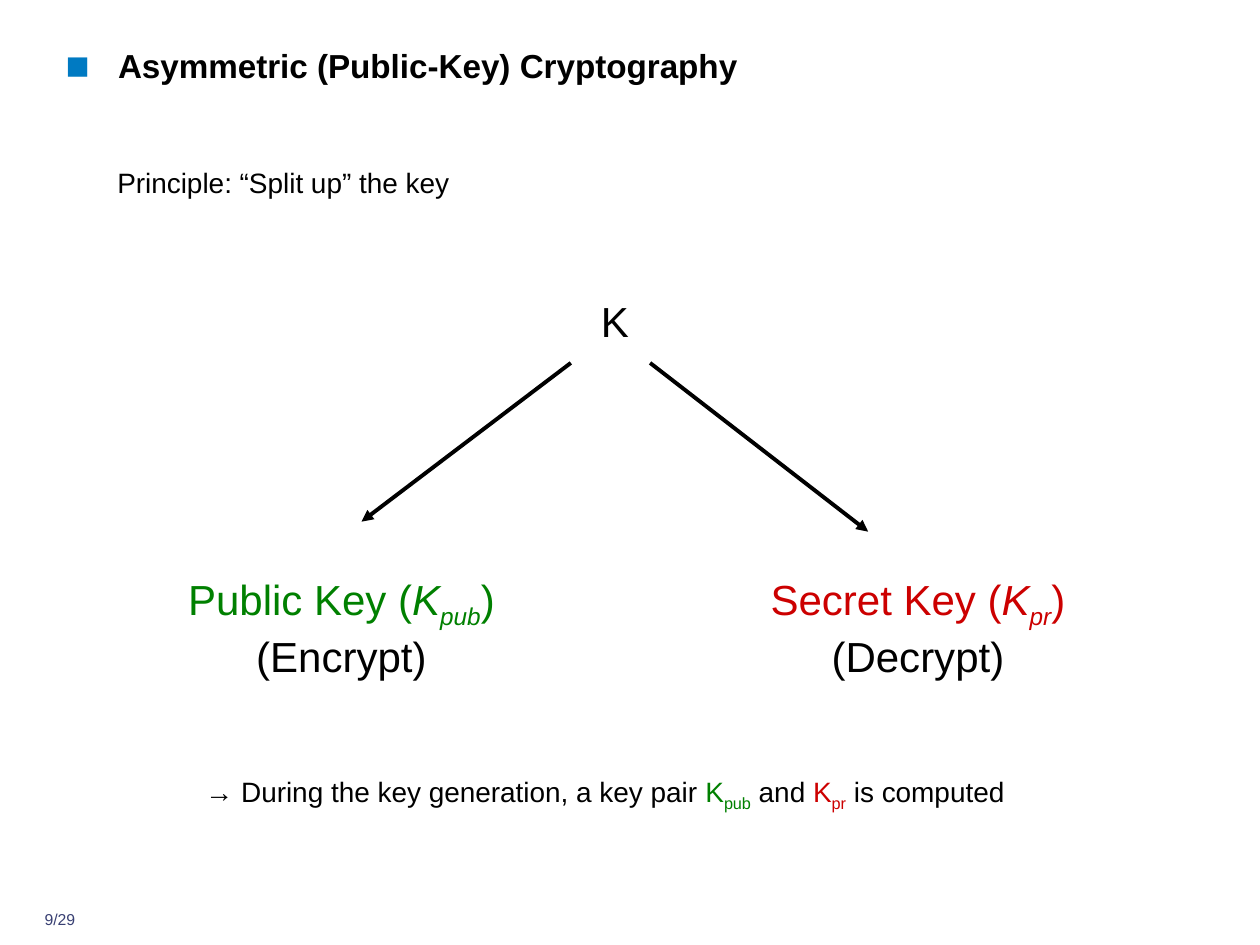
import pptx
import pptx.util
import pptx.dml.color
import pptx.enum.shapes
import pptx.enum.text
import pptx.oxml
import pptx.oxml.ns
from lxml import etree

Pt = pptx.util.Pt
RGB = pptx.dml.color.RGBColor
qn = pptx.oxml.ns.qn
ALIGN = pptx.enum.text.PP_ALIGN

BLACK = RGB(0x00, 0x00, 0x00)
GREEN = RGB(0x00, 0x80, 0x00)
RED = RGB(0xCC, 0x00, 0x00)
SLATE = RGB(0x39, 0x40, 0x73)
BLUE = RGB(0x00, 0x7A, 0xC2)

deck = pptx.Presentation()
deck.slide_width, deck.slide_height = Pt(720), Pt(540)
slide = deck.slides.add_slide(deck.slide_layouts[1])


def write(text, at, shape=None, size=16, color=BLACK, bold=False,
          align=ALIGN.LEFT, indent=0, spacing=1, bullet=None):
    """Write text, or a list of (text, colour, italic, subscript) runs."""
    box = [Pt(n) for n in at]
    if shape is None:
        shape = slide.shapes.add_textbox(*box)
    shape.left, shape.top, shape.width, shape.height = box
    frame = shape.text_frame
    frame.word_wrap = True
    frame.auto_size = pptx.enum.text.MSO_AUTO_SIZE.NONE
    frame.vertical_anchor = pptx.enum.text.MSO_ANCHOR.TOP
    frame.margin_left = frame.margin_right = 0
    frame.margin_top = frame.margin_bottom = 0

    para = frame.paragraphs[0]
    props = para._p.get_or_add_pPr()
    props.set("marL", str(Pt(indent)))
    props.set("indent", str(-Pt(indent)))
    if bullet:
        tint = etree.SubElement(props, qn("a:buClr"))
        etree.SubElement(tint, qn("a:srgbClr"), val=str(BLUE))
        etree.SubElement(props, qn("a:buSzPct"), val="120000")
        etree.SubElement(props, qn("a:buFont"), typeface="Arial")
        etree.SubElement(props, qn("a:buChar"), char=bullet)
    else:
        etree.SubElement(props, qn("a:buNone"))
    para.alignment = align
    para.line_spacing = spacing
    para.space_before = Pt(0)

    runs = [(text, color, False, False)] if isinstance(text, str) else text
    for words, tint, slant, sub in runs:
        run = para.add_run()
        run.text = words
        font = run.font
        font.name, font.size = "Arial", Pt(size)
        font.bold, font.italic = bold, slant
        font.color.rgb = tint
        if sub:
            font._element.set("baseline", "-25000")


# Page number, title and principle
write("9/29", (14.4, 519.84, 39.6, 17.28), size=9, color=SLATE,
      align=ALIGN.CENTER)
write("Asymmetric (Public-Key) Cryptography", (37.44, 25.9, 509, 40.3),
      shape=slide.shapes.title, size=19, bold=True, indent=30, bullet="■")
write("Principle: “Split up” the key", (67, 90, 338.4, 24.5),
      shape=slide.placeholders[1], indent=15, spacing=1.25)

# Key at the top, its two halves below
write("K", (308.9, 168.7, 85, 28.8), size=24, align=ALIGN.CENTER)
halves = [
    ("Public", "pub", "Encrypt", GREEN, 70.6, 249),
    ("Secret", "pr", "Decrypt", RED, 416.9, 215.3),
]
for name, sub, use, tint, left, width in halves:
    runs = [
        (f"{name} Key (", tint, False, False),
        ("K", tint, True, False),
        (sub, tint, True, True),
        (")", tint, False, False),
        (f" ({use})", BLACK, False, False),
    ]
    write(runs, (left, 327.5, width, 62), size=24, align=ALIGN.CENTER)

# Arrows from the key to its halves
for start, end, foot in [(326.2, 206.6, 298.1), (371.5, 496.1, 303.8)]:
    arrow = slide.shapes.add_connector(
        pptx.enum.shapes.MSO_CONNECTOR.STRAIGHT,
        Pt(start), Pt(207.4), Pt(end), Pt(foot))
    arrow.line.color.rgb = BLACK
    arrow.line.width = Pt(2.25)
    etree.SubElement(arrow.line._get_or_add_ln(), qn("a:tailEnd"),
                     type="triangle")
    etree.SubElement(arrow._element.spPr, qn("a:effectLst"))

# Conclusion
write([
    ("→ During the key generation, a key pair ", BLACK, False, False),
    ("K", GREEN, False, False),
    ("pub", GREEN, False, True),
    (" and ", BLACK, False, False),
    ("K", RED, False, False),
    ("pr", RED, False, True),
    (" is computed", BLACK, False, False),
], (117.4, 437, 490.3, 27.4), indent=15, spacing=1.25)

deck.save("out.pptx")
